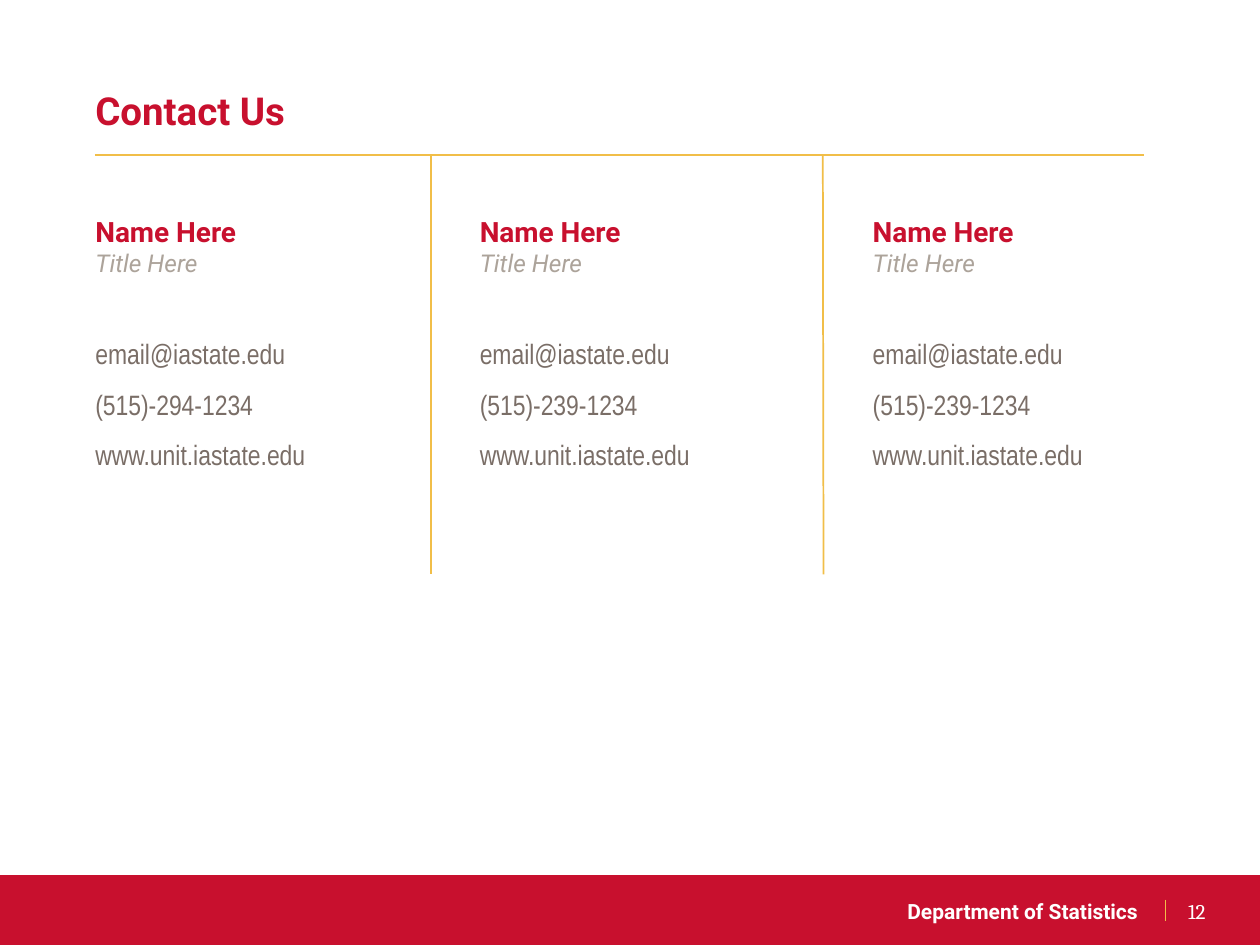
"""Build the contact slide with three contact cards and a footer band."""
from dataclasses import dataclass, field

from lxml.etree import SubElement
from pptx import Presentation
from pptx.dml.color import RGBColor
from pptx.enum.shapes import MSO_CONNECTOR as Connector, MSO_SHAPE as Shape
from pptx.enum.text import MSO_ANCHOR as Anchor, PP_ALIGN as Align
from pptx.oxml.ns import qn
from pptx.slide import Slide
from pptx.util import Pt

COLORS = {
    "red": "C8102E",
    "gold": "F1BE48",
    "white": "FFFFFF",
    "stone": "ACA39A",
    "brown": "7A6E67",
}
STYLES = {
    "heading": {"name": "Roboto", "size": Pt(22), "bold": True, "color": "red"},
    "name": {"name": "Roboto", "size": Pt(16), "bold": True, "color": "red"},
    "title": {"name": "Roboto", "size": Pt(14), "italic": True, "color": "stone"},
    "detail": {"name": "Arial Narrow", "size": Pt(16), "color": "brown"},
    "department": {"name": "Roboto", "size": Pt(12), "bold": True, "color": "white"},
    "number": {"name": "Cambria", "size": Pt(12), "color": "white"},
}


@dataclass
class Line:
    text: str
    style: str
    layout: dict = field(default_factory=dict)


@dataclass
class Box:
    left: float
    top: float
    width: float
    height: float
    lines: list[Line]
    fill: str | None = None
    anchor: Anchor = Anchor.TOP


@dataclass
class Rule:
    start: tuple[float, float]
    end: tuple[float, float]
    width: float = 1


@dataclass
class Contact:
    left: float
    width: float
    phone: str


def rgb(color: str) -> RGBColor:
    """Return the named colour."""
    return RGBColor.from_string(COLORS[color])


def draw_box(slide: Slide, box: Box) -> None:
    """Draw a text box with one styled paragraph per line."""
    shape = slide.shapes.add_textbox(*map(Pt, (box.left, box.top, box.width, box.height)))
    if box.fill:
        shape.fill.solid()
        shape.fill.fore_color.rgb = rgb(box.fill)
    frame = shape.text_frame
    frame.word_wrap = True
    frame.vertical_anchor = box.anchor
    for index, line in enumerate(box.lines):
        paragraph = frame.add_paragraph() if index else frame.paragraphs[0]
        run = paragraph.add_run()
        run.text = line.text
        for key, value in line.layout.items():
            setattr(paragraph, key, value)
        for key, value in STYLES[line.style].items():
            if key == "color":
                run.font.color.rgb = rgb(value)
            else:
                setattr(run.font, key, value)


def draw_rule(slide: Slide, rule: Rule) -> None:
    """Draw a thin gold line without a shadow."""
    connector = slide.shapes.add_connector(
        Connector.STRAIGHT, *map(Pt, (*rule.start, *rule.end))
    )
    connector.line.color.rgb = rgb("gold")
    connector.line.width = Pt(rule.width)
    SubElement(connector._element.spPr, qn("a:effectLst"))


def draw_band(slide: Slide) -> None:
    """Draw the red footer band."""
    band = slide.shapes.add_shape(Shape.RECTANGLE, *map(Pt, (0, 500, 720, 40)))
    band.shadow.inherit = False
    band.fill.solid()
    band.fill.fore_color.rgb = rgb("red")
    band.line.fill.background()


def contact_box(contact: Contact) -> Box:
    """Return the card for one contact."""
    spaced = {"line_spacing": 1.5}
    lines = [
        Line("Name Here", "name"),
        Line("Title Here", "title"),
        Line("email@iastate.edu", "detail", spaced | {"space_before": Pt(24.6)}),
        Line(contact.phone, "detail", spaced),
        Line("www.unit.iastate.edu", "detail", spaced),
    ]
    return Box(contact.left, 118.8, contact.width, 156.2, lines, "white")


def main() -> None:
    """Build and save the slide."""
    presentation = Presentation()
    presentation.slide_width, presentation.slide_height = Pt(720), Pt(540)
    slide = presentation.slides.add_slide(presentation.slide_layouts[6])
    contacts = [
        Contact(47.4, 180.7, "(515)-294-1234"),
        Contact(267.1, 185, "(515)-239-1234"),
        Contact(491.6, 162, "(515)-239-1234"),
    ]
    department = Line("Department of Statistics", "department", {"alignment": Align.RIGHT})
    boxes = [
        Box(327.6, 509.8, 329.8, 22.3, [department]),
        Box(671.8, 509.8, 41.8, 21.6, [Line("12", "number")], anchor=Anchor.MIDDLE),
        Box(47.4, 46.1, 610.6, 63.4, [Line("Contact Us", "heading")]),
        *map(contact_box, contacts),
    ]
    rules = [
        Rule((666, 514.1), (666, 526.3), 0.75),
        Rule((54.2, 88.6), (653.8, 88.6)),
        Rule((246.2, 88.6), (246.2, 328.3)),
        Rule((470.2, 88.6), (470.6, 328.3)),
    ]
    draw_band(slide)
    for box in boxes:
        draw_box(slide, box)
    for rule in rules:
        draw_rule(slide, rule)
    presentation.save("out.pptx")


if __name__ == "__main__":
    main()
